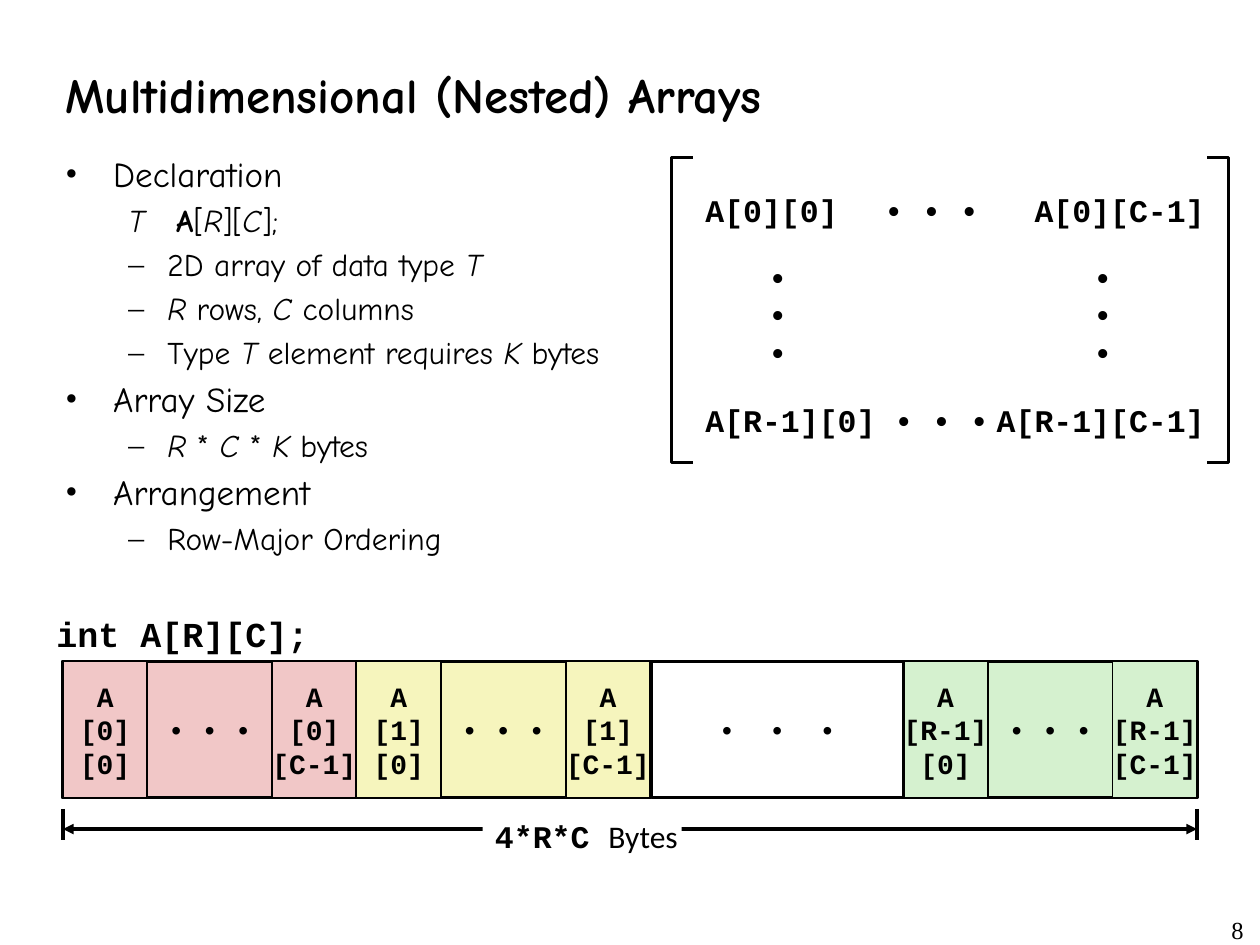
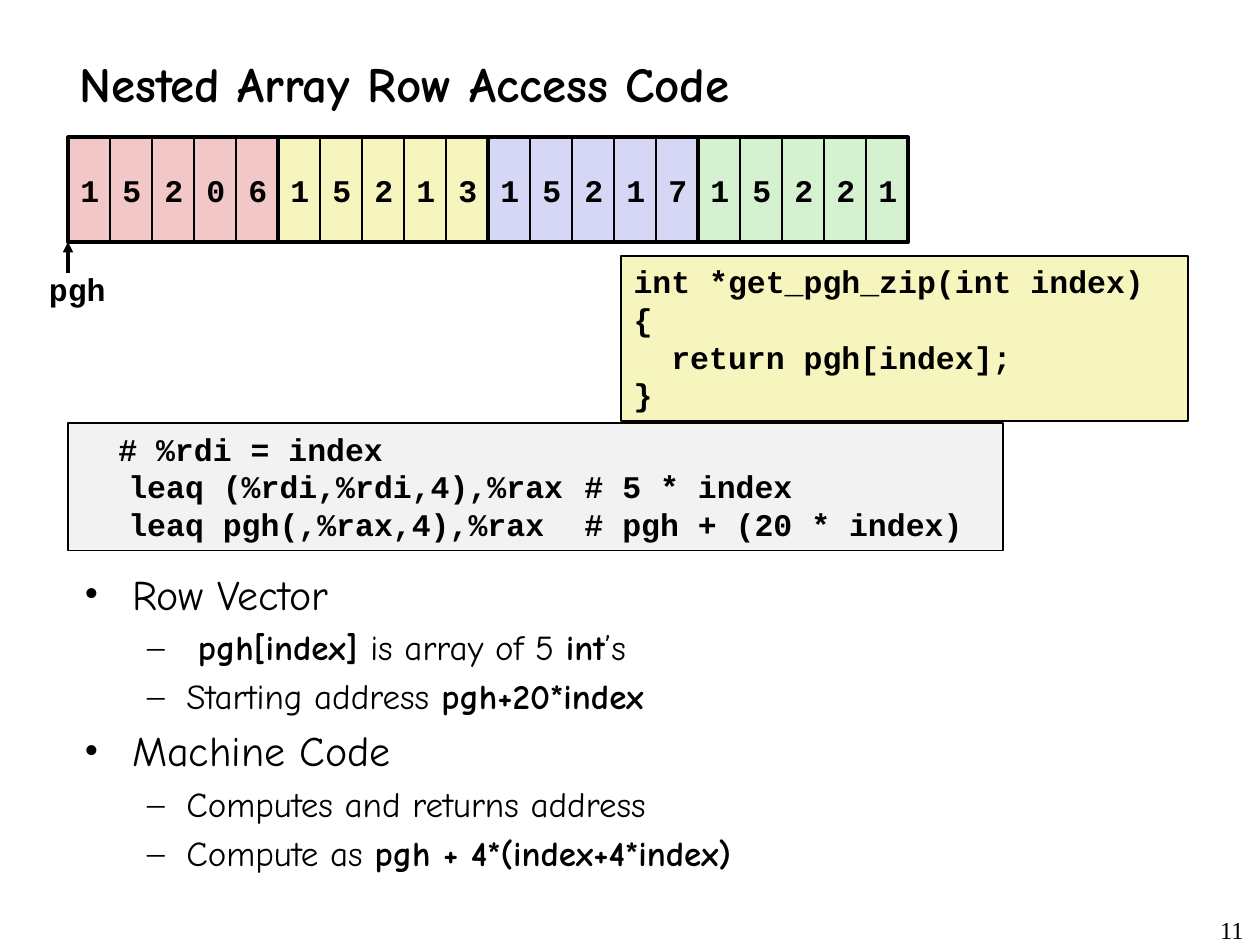
"""Build two slides on nested arrays: memory layout and row access code."""
from lxml import etree
from pptx import Presentation
from pptx.dml.color import RGBColor
from pptx.enum.shapes import MSO_CONNECTOR, MSO_SHAPE
from pptx.enum.text import MSO_ANCHOR as Anchor, MSO_AUTO_SIZE as AutoSize, PP_ALIGN as Align
from pptx.oxml.ns import qn
from pptx.util import Inches, Pt

COLORS = {"black": "000000", "white": "FFFFFF", "red": "F1C7C7", "yellow": "F6F5BD",
          "blue": "D6D6F5", "green": "D5F1CF", "gray": "F2F2F2"}
HAND, CODE, SANS, SERIF = "Comic Neue", "Courier New", "Calibri", "Times New Roman"

ARRAY_TITLE = "Multidimensional (Nested) Arrays"
ARRAY_POINTS = [
    (0, ["Declaration"]),
    (None, [("T\t", "i"), ("A", "b"), "[", ("R", "i"), "][", ("C", "i"), "];"]),
    (1, ["2D array of data type ", ("T", "i")]),
    (1, [("R", "i"), " rows, ", ("C", "i"), " columns"]),
    (1, ["Type ", ("T", "i"), " element requires ", ("K", "i"), " bytes"]),
    (0, ["Array Size"]),
    (1, [("R", "i"), " * ", ("C ", "i"), "* ", ("K ", "i"), "bytes"]),
    (0, ["Arrangement"]),
    (1, ["Row-Major Ordering"]),
]
DOTS = "• • •"
MATRIX = [
    ((5.5, 1.42, 1.33, 0.5), ["A[0][0]"], Align.LEFT),
    ((6.92, 1.42, 1, 0.5), [DOTS], Align.LEFT),
    ((8.33, 1.42, 1.33, 0.5), ["A[0][C-1]"], Align.RIGHT),
    ((6, 2.08, 0.5, 0.83), DOTS.split(), Align.LEFT),
    ((8.58, 2.08, 0.5, 0.83), DOTS.split(), Align.LEFT),
    ((5.5, 3.08, 1.33, 0.5), ["A[R-1][0]"], Align.LEFT),
    ((7, 3.08, 1, 0.5), [DOTS], Align.LEFT),
    ((8.33, 3.08, 1.33, 0.5), ["A[R-1][C-1]"], Align.RIGHT),
]
BRACKETS = [(5.5, 5.33), (9.58, 9.75)]
MEMORY_ROWS = [(0.5, "[0]", "red"), (2.83, "[1]", "yellow"), (7.17, "[R-1]", "green")]

ACCESS_TITLE = "Nested Array Row Access Code"
ACCESS_POINTS = [
    (0, ["Row Vector"]),
    (1, [" ", ("pgh[index] ", "b"), "is array of 5 ", ("int", "b"), "’s"]),
    (1, ["Starting address ", ("pgh+20*index", "b")]),
    (0, ["Machine Code"]),
    (1, ["Computes and returns address"]),
    (1, ["Compute as ", ("pgh + 4*(index+4*index)", "b")]),
]
ZIP_CODES = [("15206", "red"), ("15213", "yellow"), ("15217", "blue"), ("15221", "green")]
C_CODE = ["int *get_pgh_zip(int index)", "{", "  return pgh[index];", "}"]
ASSEMBLY = ["  # %rdi = index",
            "\tleaq (%rdi,%rdi,4),%rax\t# 5 * index",
            "\tleaq pgh(,%rax,4),%rax\t# pgh + (20 * index)"]
ASSEMBLY_TABS = (0.38, 4)


def rgb(name):
    return RGBColor.from_string(COLORS[name])


def inches(values):
    return [Inches(value) for value in values]


def add_xml(parent, tag, **attributes):
    return etree.SubElement(parent, qn(tag), {key: str(value) for key, value in attributes.items()})


def style(font, size, name=CODE, bold=False):
    font.size, font.name, font.bold = Pt(size), name, bold
    font.color.rgb = rgb("black")


def write(shape, lines, size, name=CODE, bold=True, align=Align.LEFT,
          anchor=Anchor.MIDDLE, wrap=False, tabs=()):
    frame = shape.text_frame
    frame.word_wrap, frame.vertical_anchor, frame.auto_size = wrap, anchor, AutoSize.NONE
    for index, line in enumerate(lines):
        paragraph = frame.add_paragraph() if index else frame.paragraphs[0]
        paragraph.text = line
        paragraph.alignment = align
        if tabs:
            tab_list = add_xml(paragraph._p.get_or_add_pPr(), "a:tabLst")
            for position in tabs:
                add_xml(tab_list, "a:tab", pos=Inches(position), algn="l")
        style(paragraph.font, size, name, bold)


def add_box(slide, at, fill=None, line_width=None):
    shape = slide.shapes.add_shape(MSO_SHAPE.RECTANGLE, *inches(at))
    shape.shadow.inherit = False
    if fill:
        shape.fill.solid()
        shape.fill.fore_color.rgb = rgb(fill)
    else:
        shape.fill.background()
    if line_width:
        shape.line.color.rgb = rgb("black")
        shape.line.width = Pt(line_width)
    else:
        shape.line.fill.background()
    return shape


def add_label(slide, at, lines, size=18, **options):
    write(slide.shapes.add_textbox(*inches(at)), lines, size, **options)


def add_line(slide, start, end, arrows=()):
    line = slide.shapes.add_connector(MSO_CONNECTOR.STRAIGHT, *inches(start + end))
    line.line.color.rgb = rgb("black")
    line.line.width = Pt(2)
    for arrow in arrows:
        add_xml(line.line._get_or_add_ln(), arrow, type="triangle")
    add_xml(line._element.spPr, "a:effectLst")


def add_points(slide, at, points, sizes):
    frame = slide.shapes.add_textbox(*inches(at)).text_frame
    frame.word_wrap = True
    for index, (level, runs) in enumerate(points):
        paragraph = frame.add_paragraph() if index else frame.paragraphs[0]
        margin, hanging = {0: (0.38, 0.38), 1: (0.81, 0.31), None: (0.88, 0.38)}[level]
        properties = paragraph._p.get_or_add_pPr()
        properties.set("marL", str(Inches(margin)))
        properties.set("indent", str(-Inches(hanging)))
        add_xml(add_xml(properties, "a:spcBef"), "a:spcPct", val=20000)
        if level is None:
            add_xml(properties, "a:buNone")
        else:
            add_xml(properties, "a:buFont", typeface=SERIF)
            add_xml(properties, "a:buChar", char="•–"[level])
        style(paragraph.font, sizes[0 if level == 0 else 1], HAND)
        for item in runs:
            text, emphasis = (item, "") if isinstance(item, str) else item
            run = paragraph.add_run()
            run.text = text
            if emphasis == "b":
                run.font.bold = True
            elif emphasis == "i":
                run.font.italic = True


def add_slide(presentation, title, title_at, number):
    slide = presentation.slides.add_slide(presentation.slide_layouts[5])
    placeholder = slide.shapes.title
    placeholder.left, placeholder.top, placeholder.width, placeholder.height = inches(title_at)
    write(placeholder, [title], 28, HAND, wrap=True)
    add_label(slide, (9.43, 7.21, 0.54, 0.25), [number], 14, name=SERIF, bold=False,
              align=Align.RIGHT, anchor=Anchor.TOP, wrap=True)
    return slide


def build_array_slide(presentation):
    slide = add_slide(presentation, ARRAY_TITLE, (0.42, 0.43, 8.83, 0.63), "8")
    add_points(slide, (0.42, 1.16, 4.85, 3.68), ARRAY_POINTS, (20, 18))

    for at, lines, align in MATRIX:
        add_label(slide, at, lines, align=align)
    for tip, spine in BRACKETS:
        builder = slide.shapes.build_freeform(Inches(tip), Inches(1.25))
        builder.add_line_segments([inches(point) for point in
                                   ((spine, 1.25), (spine, 3.67), (tip, 3.67))], close=False)
        bracket = builder.convert_to_shape()
        bracket.shadow.inherit = False
        bracket.fill.background()
        bracket.line.color.rgb = rgb("black")
        bracket.line.width = Pt(2)

    add_label(slide, (0.35, 4.81, 2.2, 0.43), ["int A[R][C];"], 20,
              align=Align.RIGHT, anchor=Anchor.TOP)
    top, height, row_width, cell_width = 5.25, 1.08, 2.33, 0.67
    for left, row, color in MEMORY_ROWS:
        row_box = add_box(slide, (left, top, row_width, height), color, 2.25)
        write(row_box, [DOTS], 16, bold=False, align=Align.CENTER)
        for offset, column in ((0, "[0]"), (row_width - cell_width, "[C-1]")):
            cell = add_box(slide, (left + offset, top, cell_width, height), color, 1)
            write(cell, ["A", row, column], 16, align=Align.CENTER)
    gap_box = add_box(slide, (5.17, top, 2, height), "white", 2)
    write(gap_box, ["•  •  •"], 16, bold=False, align=Align.CENTER)

    for x in (0.5, 9.5):
        add_line(slide, (x, 6.42), (x, 6.67))
    add_line(slide, (0.5, 6.58), (9.5, 6.58), ("a:headEnd", "a:tailEnd"))
    size_box = add_box(slide, (3.83, 6.42, 1.58, 0.42), "white")
    write(size_box, ["4*R*C "], 18)
    unit = size_box.text_frame.paragraphs[0].add_run()
    unit.text = "Bytes"
    unit.font.name, unit.font.bold = SANS, False


def build_access_slide(presentation):
    slide = add_slide(presentation, ACCESS_TITLE, (0.53, 0.34, 8.36, 0.63), "11")
    add_points(slide, (0.57, 4.46, 9.18, 2.67), ACCESS_POINTS, (24, 20))

    c_box = add_box(slide, (4.93, 2.03, 4.5, 1.31), "yellow", 1)
    write(c_box, C_CODE, 18, anchor=Anchor.TOP, wrap=True)
    assembly_box = add_box(slide, (0.54, 3.36, 7.42, 1.01), "gray", 1)
    write(assembly_box, ASSEMBLY, 18, anchor=Anchor.TOP, wrap=True, tabs=ASSEMBLY_TABS)

    left, top, cell_width, height = 0.54, 1.09, 1 / 3, 0.83
    add_line(slide, (left, 2.17), (left, top + height), ("a:tailEnd",))
    add_label(slide, (0.29, 2.09, 0.66, 0.4), ["pgh"], anchor=Anchor.TOP)
    for row, (digits, color) in enumerate(ZIP_CODES):
        row_width = len(digits) * cell_width
        row_left = left + row * row_width
        for column, digit in enumerate(digits):
            cell = add_box(slide, (row_left + column * cell_width, top, cell_width, height), color, 1)
            write(cell, [digit], 18)
        add_box(slide, (row_left, top, row_width, height), line_width=2.25)


def main():
    presentation = Presentation()
    presentation.slide_width, presentation.slide_height = Inches(10), Inches(7.5)
    build_array_slide(presentation)
    build_access_slide(presentation)
    presentation.save("out.pptx")


if __name__ == "__main__":
    main()
